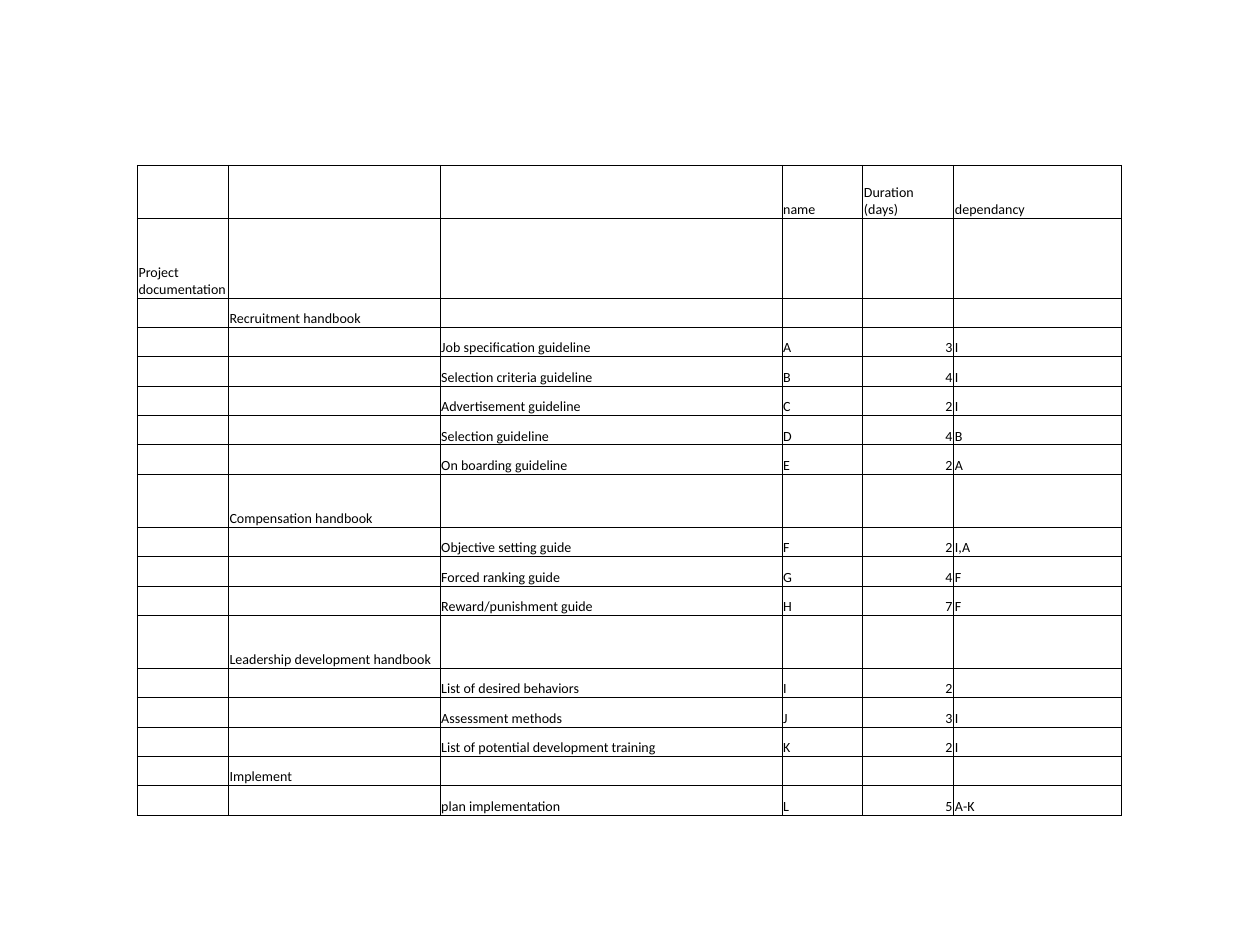
from lxml.etree import SubElement
from pptx import Presentation
from pptx.dml.color import RGBColor
from pptx.enum.text import MSO_ANCHOR as Anchor, PP_ALIGN as Align
from pptx.oxml import parse_xml
from pptx.oxml.ns import nsdecls
from pptx.util import Pt

# Content: handbooks with their guidelines (title, name, days, dependency)
HEADER = ("", "", "", "name", "Duration\n(days)", "dependancy")
PROJECT = "Project documentation"
SECTIONS = [
    ("Recruitment handbook", [
        ("Job specification guideline", "A", "3", "I"),
        ("Selection criteria guideline", "B", "4", "I"),
        ("Advertisement guideline", "C", "2", "I"),
        ("Selection guideline", "D", "4", "B"),
        ("On boarding guideline", "E", "2", "A"),
    ]),
    ("Compensation handbook", [
        ("Objective setting guide", "F", "2", "I,A"),
        ("Forced ranking guide", "G", "4", "F"),
        ("Reward/punishment guide", "H", "7", "F"),
    ]),
    ("Leadership development handbook", [
        ("List of desired behaviors", "I", "2", ""),
        ("Assessment methods", "J", "3", "I"),
        ("List of potential development training", "K", "2", "I"),
    ]),
    ("Implement", [("plan implementation", "L", "5", "A-K")]),
]
COLORS = {"text": "000000", "border": "000000"}
FONT, FONT_SIZE = "Calibri", 8
LEFT, TOP = 78.5, 94.5
COLUMN_WIDTHS = [52, 121, 195.4, 46.2, 52, 96]
ROW_HEIGHT, TALL_ROW, PROJECT_ROW = 16.8, 30.3, 45.5
TALL_TITLES = {"Compensation handbook", "Leadership development handbook"}
DAYS_COLUMN = 4


def table_rows():
    """Return (height, cell texts) for every row."""
    rows = [(TALL_ROW, HEADER), (PROJECT_ROW, (PROJECT,) + ("",) * 5)]
    for title, tasks in SECTIONS:
        height = TALL_ROW if title in TALL_TITLES else ROW_HEIGHT
        rows.append((height, ("", title) + ("",) * 4))
        rows += [(ROW_HEIGHT, ("", "") + task) for task in tasks]
    return rows


def add_borders(cell):
    properties = cell._tc.get_or_add_tcPr()
    for index, side in enumerate(("lnL", "lnR", "lnT", "lnB")):
        properties.insert(index, parse_xml(
            f'<a:{side} {nsdecls("a")} w="{Pt(0.5)}"><a:solidFill>'
            f'<a:srgbClr val="{COLORS["border"]}"/></a:solidFill></a:{side}>'))


def write_text(cell, text, align):
    frame = cell.text_frame
    for index, line in enumerate(text.split("\n")):
        para = frame.add_paragraph() if index else frame.paragraphs[0]
        para.alignment = align
        if not line:
            # Keeps the line height of an empty cell small
            end = SubElement(para._p, "{http://schemas.openxmlformats.org/drawingml/2006/main}endParaRPr")
            end.set("sz", str(FONT_SIZE * 100))
            continue
        span = para.add_run()
        span.text = line
        span.font.name = FONT
        span.font.size = Pt(FONT_SIZE)
        span.font.color.rgb = RGBColor.from_string(COLORS["text"])


def main():
    deck = Presentation()
    deck.slide_width, deck.slide_height = Pt(720), Pt(540)
    page = deck.slides.add_slide(deck.slide_layouts[6])

    # Task table
    rows = table_rows()
    table = page.shapes.add_table(
        len(rows), len(COLUMN_WIDTHS), Pt(LEFT), Pt(TOP),
        Pt(sum(COLUMN_WIDTHS)), Pt(sum(height for height, _ in rows))).table
    table.first_row = table.horz_banding = False
    for column, width in zip(table.columns, COLUMN_WIDTHS):
        column.width = Pt(width)

    for row, (height, texts) in zip(table.rows, rows):
        row.height = Pt(height)
        for index, (cell, text) in enumerate(zip(row.cells, texts)):
            cell.fill.background()
            cell.vertical_anchor = Anchor.BOTTOM
            cell.margin_left = cell.margin_right = cell.margin_top = Pt(0.7)
            cell.margin_bottom = 0
            add_borders(cell)
            is_number = index == DAYS_COLUMN and text.isdigit()
            write_text(cell, text, Align.RIGHT if is_number else Align.LEFT)

    deck.save("out.pptx")


if __name__ == "__main__":
    main()
